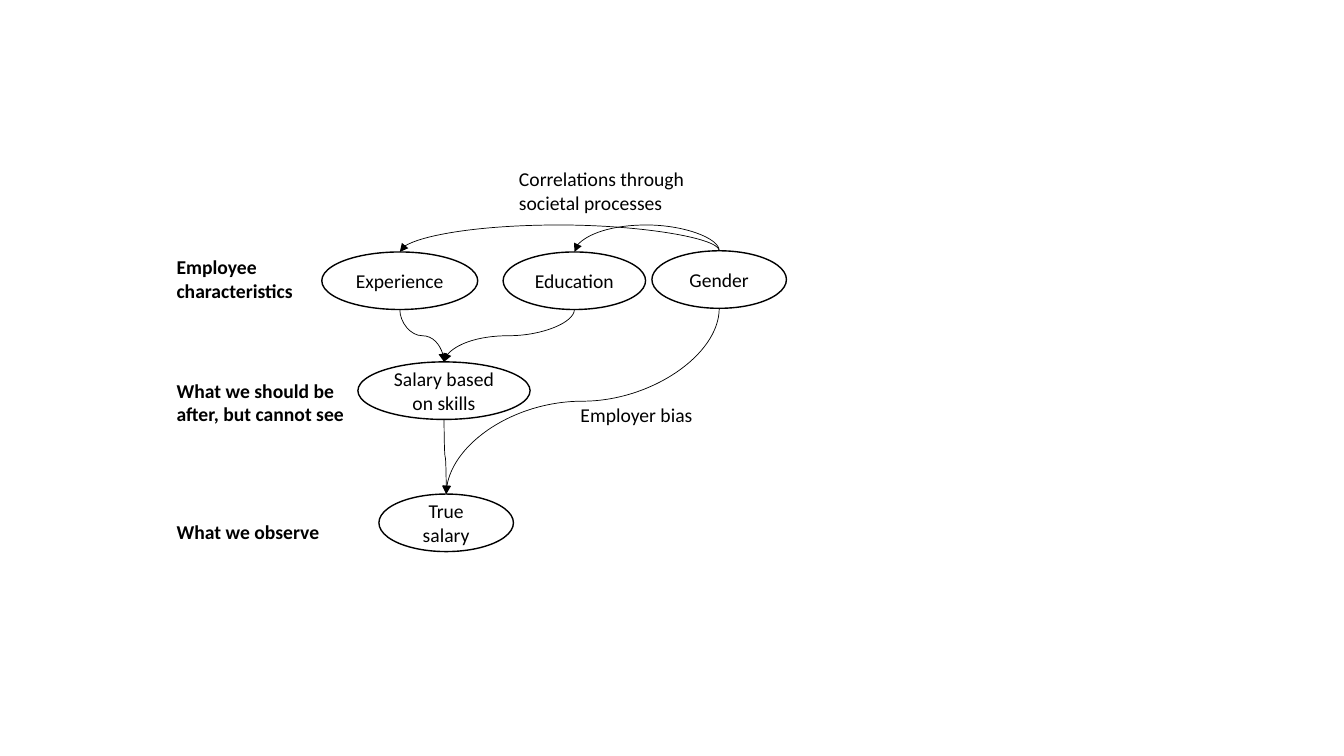
"""Build a slide showing how gender bias enters observed salaries."""
from lxml.etree import SubElement
from pptx import Presentation
from pptx.dml.color import RGBColor
from pptx.enum.shapes import MSO_CONNECTOR as Link, MSO_SHAPE as Preset
from pptx.enum.text import MSO_ANCHOR as Anchor, PP_ALIGN as Align
from pptx.oxml.ns import qn
from pptx.util import Cm, Pt

BLACK, WHITE = "000000", "FFFFFF"
NODE_HEIGHT = 1.45
ARC_RISE = 0.65
TOP, BOTTOM = 0, 4

NODES = {
    "Experience": (8.11, 6.35, 3.93),
    "Education": (12.68, 6.35, 3.59),
    "Gender": (16.43, 6.32, 3.39),
    "Salary based on skills": (9.02, 9.12, 4.34),
    "True salary": (9.55, 12.45, 3.39),
}
ARROWS = [
    ("Experience", BOTTOM, "Salary based on skills"),
    ("Education", BOTTOM, "Salary based on skills"),
    ("Gender", BOTTOM, "True salary"),
    ("Salary based on skills", BOTTOM, "True salary"),
    ("Gender", TOP, "Experience"),
    ("Gender", TOP, "Education"),
]
LABELS = [
    ("Employer bias", 14.38, 10.02, 3.63, 0.86, False),
    ("What we observe", 4.2, 12.97, 4.75, 0.86, True),
    ("What we should be after, but cannot see", 4.2, 9.42, 4.75, 1.45, True),
    ("Employee characteristics", 4.2, 6.31, 4.75, 1.45, True),
    ("Correlations through societal processes", 12.83, 4.09, 4.78, 1.45, False),
]


def color(value):
    return RGBColor.from_string(value)


def write(shape, text, align=Align.LEFT, anchor=Anchor.TOP, bold=False):
    frame = shape.text_frame
    frame.word_wrap = True
    frame.vertical_anchor = anchor
    para = frame.paragraphs[0]
    para.alignment = align
    span = para.add_run()
    span.text = text
    for name, value in {"name": "Calibri", "size": Pt(14), "bold": bold}.items():
        setattr(span.font, name, value)
    span.font.color.rgb = color(BLACK)


def outline(shape, width):
    shape.line.color.rgb = color(BLACK)
    shape.line.width = Pt(width)


def add_node(page, text, left, top, width):
    node = page.shapes.add_shape(
        Preset.OVAL, Cm(left), Cm(top), Cm(width), Cm(NODE_HEIGHT))
    node.shadow.inherit = False
    node.fill.solid()
    node.fill.fore_color.rgb = color(WHITE)
    outline(node, 1)
    write(node, text, Align.CENTER, Anchor.MIDDLE)
    return node


def anchor_point(text, site):
    left, top, width = NODES[text]
    return left + width / 2, top + (NODE_HEIGHT if site == BOTTOM else 0)


def add_arrow(page, ovals, source, site, target):
    start_x, start_y = anchor_point(source, site)
    end_x, end_y = anchor_point(target, TOP)
    middle_x, middle_y = (start_x + end_x) / 2, (start_y + end_y) / 2
    drop, shift = end_y - start_y, end_x - start_x
    half_width = -drop / 2 if shift > 0 else drop / 2
    half_height = abs(shift) / 2
    arrow = page.shapes.add_connector(
        Link.CURVE,
        Cm(middle_x - half_width), Cm(middle_y - half_height),
        Cm(middle_x + half_width), Cm(middle_y + half_height))
    outline(arrow, 0.5)
    properties = arrow.element.spPr
    properties.find(qn("a:xfrm")).set("rot", str((270 if shift > 0 else 90) * 60000))
    bend = 0.5 if site == BOTTOM else -ARC_RISE / drop
    geometry = properties.find(qn("a:prstGeom"))
    SubElement(geometry.find(qn("a:avLst")), qn("a:gd"),
               name="adj1", fmla=f"val {round(bend * 100000)}")
    SubElement(properties.find(qn("a:ln")), qn("a:tailEnd"), type="triangle")
    SubElement(properties, qn("a:effectLst"))
    glue = next(arrow.element.iter(qn("p:cNvCxnSpPr")))
    for tag, text, index in (("a:stCxn", source, site), ("a:endCxn", target, TOP)):
        SubElement(glue, qn(tag), id=str(ovals[text].shape_id), idx=str(index))


def add_label(page, text, left, top, width, height, bold):
    box = page.shapes.add_textbox(Cm(left), Cm(top), Cm(width), Cm(height))
    write(box, text, bold=bold)


deck = Presentation()
deck.slide_width, deck.slide_height = Cm(33.87), Cm(19.05)
page = deck.slides.add_slide(deck.slide_layouts[6])
ovals = {text: add_node(page, text, *place) for text, place in NODES.items()}
for arrow_ends in ARROWS:
    add_arrow(page, ovals, *arrow_ends)
for label in LABELS:
    add_label(page, *label)
deck.save("out.pptx")
